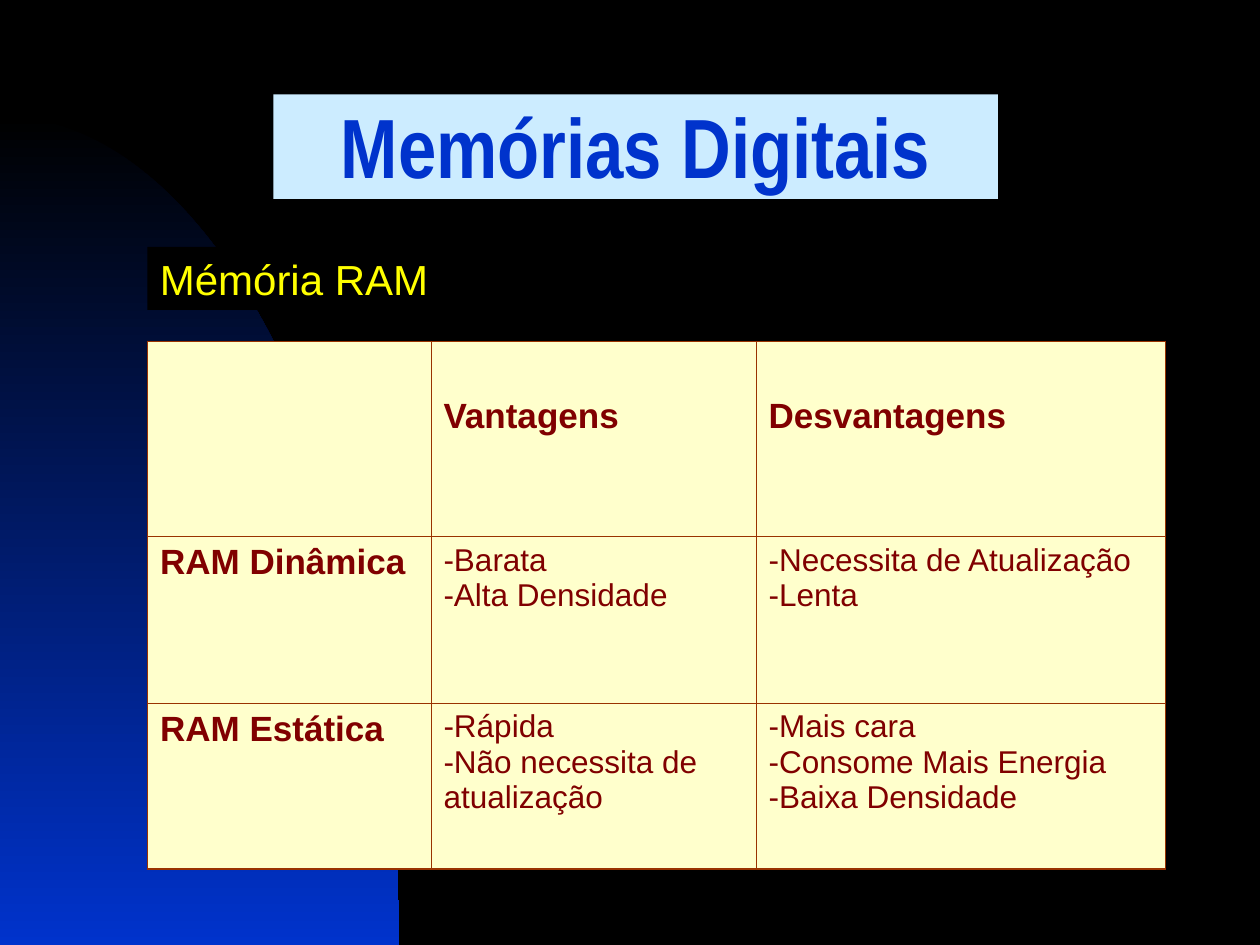
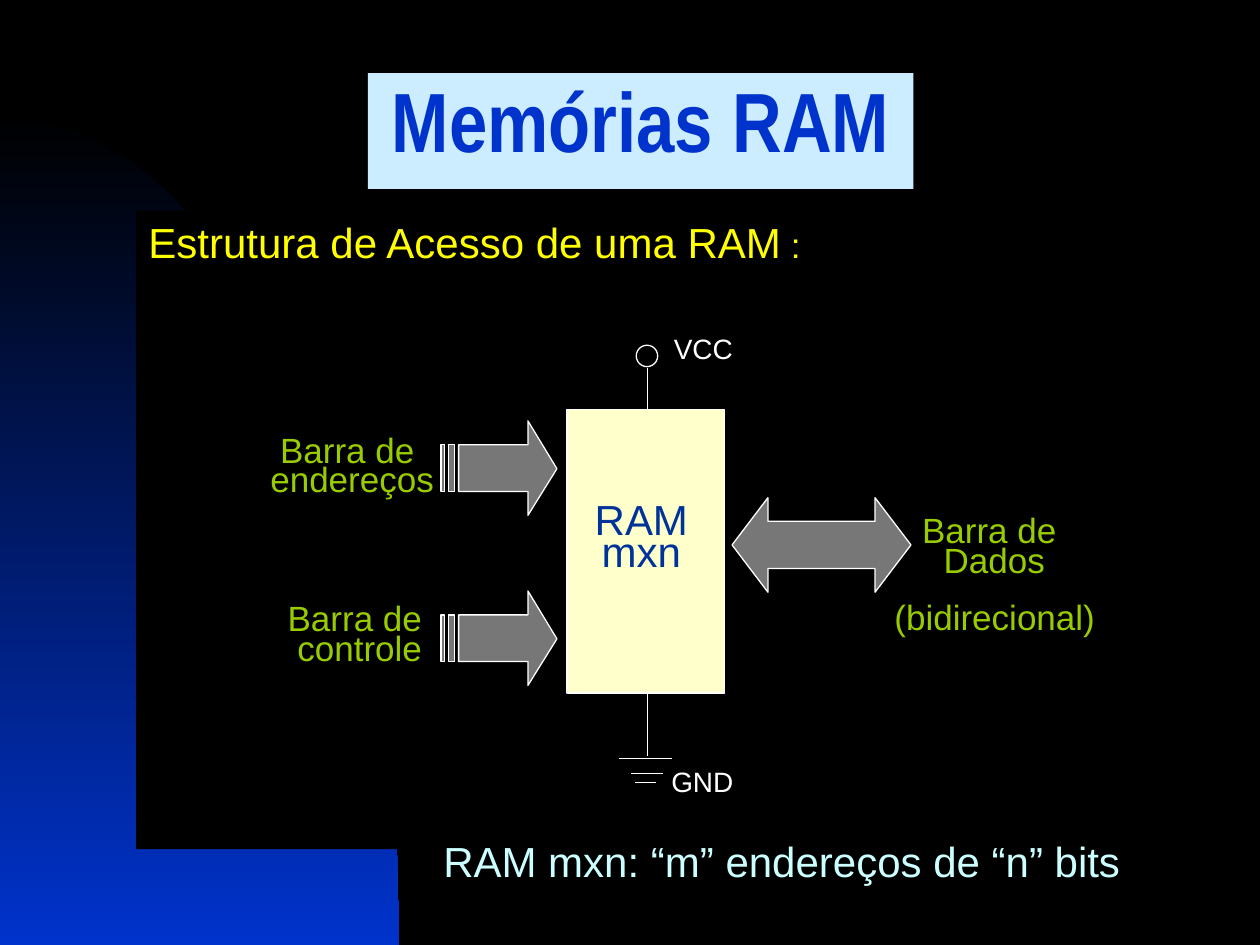
from math import cos, pi, sin

from lxml.etree import SubElement
from pptx import Presentation
from pptx.dml.color import RGBColor
from pptx.enum.shapes import MSO_CONNECTOR, MSO_SHAPE
from pptx.enum.text import MSO_ANCHOR, PP_ALIGN
from pptx.oxml import parse_xml
from pptx.oxml.ns import nsdecls, qn
from pptx.util import Inches, Pt

BLACK = RGBColor(0x00, 0x00, 0x00)
WHITE = RGBColor(0xFF, 0xFF, 0xFF)
BLUE = RGBColor(0x00, 0x33, 0xCC)
NAVY = RGBColor(0x00, 0x33, 0x99)
SKY = RGBColor(0xCC, 0xEC, 0xFF)
ICE = RGBColor(0xCC, 0xFF, 0xFF)
YELLOW = RGBColor(0xFF, 0xFF, 0x00)
CREAM = RGBColor(0xFF, 0xFF, 0xCC)
MAROON = RGBColor(0x80, 0x00, 0x00)
RUST = RGBColor(0x99, 0x33, 0x00)
LIME = RGBColor(0x99, 0xCC, 0x00)
GRAY = RGBColor(0x77, 0x77, 0x77)

LINE_WIDTH = Pt(0.75)
OUTER_BORDER, INNER_BORDER = Pt(1.08), Pt(0.45)


class Deck:
    """Holds the presentation style and the slide being drawn."""

    def __init__(self):
        self.presentation = Presentation()
        self.presentation.slide_width = Inches(10)
        self.presentation.slide_height = Inches(7.5)
        self.slide = None

    def new_slide(self):
        self.slide = self.presentation.slides.add_slide(self.presentation.slide_layouts[6])
        background = self.slide.background.fill
        background.solid()
        background.fore_color.rgb = BLACK
        self.dome()

    def dome(self):
        """Quarter ellipse that fades from black to blue."""
        angles = [pi / 2 * step / 60 for step in range(61)]
        arc = [(3.17 * sin(a), 7.5 - 6.58 * cos(a)) for a in angles]
        dome = self.outline([arc + [(0, 7.5)]])
        dome.fill.gradient()
        dome.fill.gradient_angle = 270
        for stop, color, position in zip(dome.fill.gradient_stops, (BLACK, BLUE), (0, 1)):
            stop.color.rgb = color
            stop.position = position

    def outline(self, contours, fill=None, line=None):
        contours = [[(Inches(x), Inches(y)) for x, y in contour] for contour in contours]
        builder = self.slide.shapes.build_freeform(*contours[0][0], scale=1.0)
        for contour in contours:
            if contour is not contours[0]:
                builder.move_to(*contour[0])
            builder.add_line_segments(contour[1:], close=True)
        return self.paint(builder.convert_to_shape(), fill, line)

    def paint(self, shape, fill, line):
        shape.shadow.inherit = False
        for part, color in ((shape.fill, fill), (shape.line.fill, line)):
            if color is None:
                part.background()
            else:
                part.solid()
                part.fore_color.rgb = color
        if line is not None:
            shape.line.width = LINE_WIDTH
        return shape

    def shape(self, kind, place, fill=None, line=None):
        shape = self.slide.shapes.add_shape(kind, *map(Inches, place))
        return self.paint(shape, fill, line)

    def line(self, start, end):
        line = self.slide.shapes.add_connector(
            MSO_CONNECTOR.STRAIGHT, *map(Inches, start + end))
        line.line.color.rgb = WHITE
        line.line.width = LINE_WIDTH
        SubElement(line._element.spPr, qn("a:effectLst"))

    def fill_text(self, frame, lines, size, color, bold=False, font="Arial", **paragraph_format):
        """Put lines into a frame; a line may be a list of (text, format) runs."""
        frame.word_wrap = True
        paragraph_format.setdefault("alignment", PP_ALIGN.LEFT)
        for index, line in enumerate(lines):
            paragraph = frame.add_paragraph() if index else frame.paragraphs[0]
            for name, value in paragraph_format.items():
                setattr(paragraph, name, value)
            for text, changes in [(line, {})] if isinstance(line, str) else line:
                run = paragraph.add_run()
                run.text = text
                look = {"size": Pt(size), "bold": bold, "name": font, **changes}
                run_color = look.pop("color", color)
                for name, value in look.items():
                    setattr(run.font, name, value)
                run.font.color.rgb = run_color
        return frame.paragraphs

    def text(self, place, lines, size, color, **style):
        box = self.slide.shapes.add_textbox(*map(Inches, place))
        return self.fill_text(box.text_frame, lines, size, color, **style)

    def panel(self, place, lines, size, color, fill=BLACK, anchor=MSO_ANCHOR.TOP, **style):
        panel = self.shape(MSO_SHAPE.RECTANGLE, place, fill)
        panel.text_frame.vertical_anchor = anchor
        self.fill_text(panel.text_frame, lines, size, color, **style)

    def title(self, place, title, anchor):
        self.panel(place, [title], 48, BLUE, SKY, anchor, bold=True, font="Arial Narrow",
                   alignment=PP_ALIGN.CENTER, line_spacing=0.7)

    def table(self, place, widths, heights, rows):
        """Table with a bold header row and a bold first column."""
        frame = self.slide.shapes.add_table(len(rows), len(widths), *map(Inches, place))
        table = frame.table
        table.first_row = table.horz_banding = False
        for column, width in zip(table.columns, widths):
            column.width = Inches(width)
        for row, height in zip(table.rows, heights):
            row.height = Inches(height)
        last_row, last_column = len(rows) - 1, len(widths) - 1
        for r, row in enumerate(rows):
            for c, lines in enumerate(row):
                cell = table.cell(r, c)
                cell.fill.solid()
                cell.fill.fore_color.rgb = CREAM
                heading = r == 0 or c == 0
                if r == 0:
                    cell.margin_top = Inches(0.44)
                self.fill_text(cell.text_frame, lines, 20 if heading else 18, MAROON,
                               bold=heading)
                self.borders(cell, {"L": c == 0, "R": c == last_column,
                                    "T": r == 0, "B": r == last_row})

    def borders(self, cell, outer_sides):
        properties = cell._tc.get_or_add_tcPr()
        for index, (side, outer) in enumerate(outer_sides.items()):
            width = OUTER_BORDER if outer else INNER_BORDER
            properties.insert(index, parse_xml(
                f'<a:ln{side} {nsdecls("a")} w="{width}"><a:solidFill>'
                f'<a:srgbClr val="{RUST}"/></a:solidFill></a:ln{side}>'))

    def striped_arrow(self, left, top):
        """Right arrow whose tail breaks into two stripes."""
        upper, lower = top + 0.19, top + 0.56
        head = left + 0.69
        contours = [[(head, top), (head, upper), (left + 0.14, upper), (left + 0.14, lower),
                     (head, lower), (head, top + 0.75), (left + 0.92, top + 0.38)]]
        for start, end in ((0.06, 0.11), (0, 0.03)):
            contours.append([(left + start, upper), (left + start, lower),
                             (left + end, lower), (left + end, upper)])
        self.outline(contours, GRAY, WHITE)


def comparison_slide(deck):
    deck.new_slide()
    deck.title((2.17, 0.75, 5.75, 0.83), "Memórias Digitais", MSO_ANCHOR.BOTTOM)
    deck.panel((1.17, 1.96, 3.67, 0.5), ["Mémória RAM"], 24, YELLOW)
    deck.table((1.17, 2.71, 8.08, 4.19), (2.25, 2.58, 3.25), (1.55, 1.32, 1.32), [
        [[], ["Vantagens"], ["Desvantagens"]],
        [["RAM Dinâmica"], ["-Barata", "-Alta Densidade"],
         ["-Necessita de Atualização", "-Lenta"]],
        [["RAM Estática"], ["-Rápida", "-Não necessita de atualização"],
         ["-Mais cara", "-Consome Mais Energia", "-Baixa Densidade"]],
    ])


def access_slide(deck):
    deck.new_slide()
    deck.title((2.92, 0.58, 4.33, 0.92), "Memórias RAM", MSO_ANCHOR.MIDDLE)
    heading = [("Estrutura de Acesso de uma RAM", {}),
               (" ", {"size": Pt(20), "color": ICE}), (":", {"size": Pt(20)})]
    deck.panel((1.08, 1.67, 8.25, 5.07), [heading], 24, YELLOW)

    deck.shape(MSO_SHAPE.RECTANGLE, (4.5, 3.25, 1.25, 2.25), CREAM, WHITE)
    deck.text((4.55, 3.99, 1.08, 0.62), ["RAM", "mxn"], 24, NAVY,
              alignment=PP_ALIGN.CENTER, line_spacing=0.65)

    pin_x = 5.14
    deck.line((pin_x, 3.25), (pin_x, 2.92))
    deck.line((pin_x, 5.5), (pin_x, 6))
    for left, right, y in ((4.91, 5.33, 6.02), (5.01, 5.26, 6.14), (5.04, 5.21, 6.21)):
        deck.line((left, y), (right, y))
    deck.shape(MSO_SHAPE.OVAL, (5.05, 2.74, 0.17, 0.17), line=WHITE)
    deck.text((5.25, 2.58, 0.92, 0.37), ["VCC"], 16, WHITE)
    deck.text((5.23, 6.02, 0.83, 0.37), ["GND"], 16, WHITE)

    bus_style = {"size": 20, "color": LIME, "line_spacing": 0.7}
    for arrow_top, label_left, label_top, bus in (
            (3.34, 1.92, 3.44, "endereços"), (4.69, 1.98, 4.78, "controle")):
        deck.striped_arrow(3.5, arrow_top)
        deck.text((label_left, label_top, 1.75, 0.57), ["Barra de ", bus],
                  alignment=PP_ALIGN.CENTER, **bus_style)

    data_arrow = deck.shape(MSO_SHAPE.LEFT_RIGHT_ARROW, (5.81, 3.95, 1.42, 0.75), GRAY, WHITE)
    data_arrow.adjustments[0] = 0.5
    data_arrow.adjustments[1] = 0.38
    bus_line, data_line, direction_line = deck.text(
        (6.85, 4.08, 2.08, 1.5), ["Barra de ", "Dados", "(bidirecional)"], **bus_style)
    bus_line.alignment = PP_ALIGN.CENTER
    direction_line.space_before = Pt(16)
    for paragraph, indent in ((data_line, 0.54), (direction_line, 0.15)):
        paragraph._p.get_or_add_pPr().set("marL", str(Inches(indent)))

    deck.text((3.42, 6.58, 6.17, 0.5), ["RAM mxn: “m” endereços de “n” bits"], 24, ICE)


def main():
    deck = Deck()
    comparison_slide(deck)
    access_slide(deck)
    deck.presentation.save("out.pptx")


if __name__ == "__main__":
    main()
